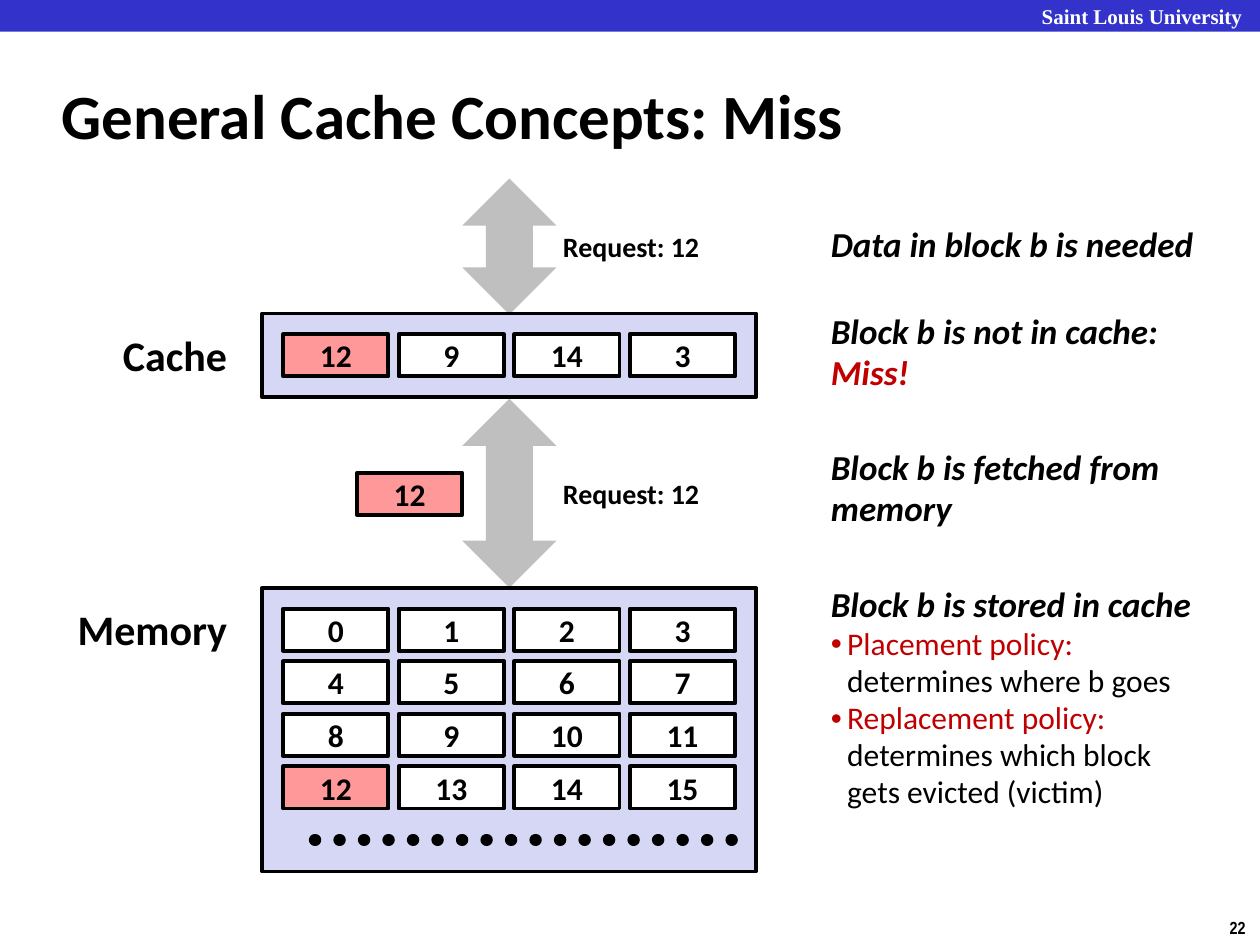
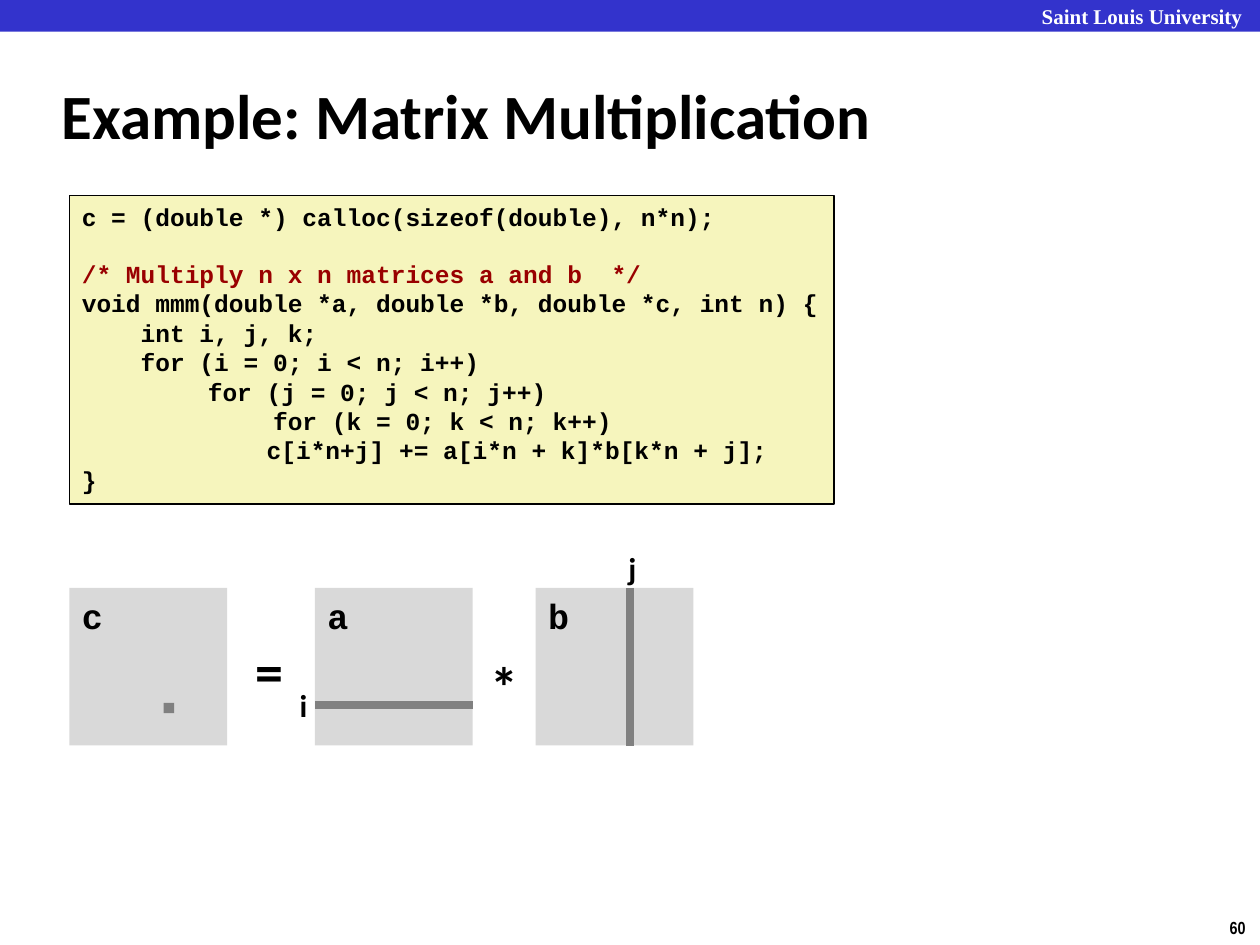
from lxml import etree
from pptx import Presentation
from pptx import util as u
from pptx.dml.color import RGBColor
from pptx.enum import dml, shapes, text
from pptx.oxml.ns import qn

BLACK, WHITE, RED = "000000", "FFFFFF", "C00000"
BAND, PANEL, HIGHLIGHT = "3333CC", "D6D6F5", "FF9999"
ARROW, MATRIX, MARK = "BFBFBF", "D9D9D9", "808080"
CODE_FILL, COMMENT = "F6F5BD", "990000"

RECT = shapes.MSO_SHAPE.RECTANGLE
LEFT, CENTER, RIGHT = text.PP_ALIGN.LEFT, text.PP_ALIGN.CENTER, text.PP_ALIGN.RIGHT
TOP, MIDDLE = text.MSO_ANCHOR.TOP, text.MSO_ANCHOR.MIDDLE

CELL_W, CELL_H = 2.12, 0.85
CELL_STEP_X, CELL_STEP_Y = 2.33, 1.06
PANEL_W, PANEL_PAD = 9.95, 0.42
MATRIX_SIDE = 3.18


def color(hex_value):
    return RGBColor.from_string(hex_value)


def cm(*lengths):
    return [u.Cm(length) for length in lengths]


# Building pieces
def write(box, words, size=18, font="Calibri", ink=BLACK, lead_ink=None, bold=True,
          italic=False, align=LEFT, anchor=TOP, wrap=True, spacing=None, before=0,
          bullet=False, tab=None):
    """Add one paragraph; lead_ink colours its first line only."""
    frame = box.text_frame
    frame.word_wrap, frame.vertical_anchor = wrap, anchor
    para = frame.paragraphs[0]
    if para.runs:
        para = frame.add_paragraph()
    para.alignment = align
    properties = para._p.get_or_add_pPr()
    if bullet:
        properties.set("marL", str(u.Cm(0.33)))
        properties.set("indent", str(-u.Cm(0.33)))
        etree.SubElement(properties, qn("a:buFont"), typeface="Arial")
        etree.SubElement(properties, qn("a:buChar"), char="•")
    if tab:
        stops = etree.SubElement(properties, qn("a:tabLst"))
        etree.SubElement(stops, qn("a:tab"), pos=str(u.Cm(tab)), algn="l")
    if spacing:
        para.line_spacing = spacing
    if before:
        para.space_before = u.Pt(before)
    for index, line in enumerate(words.split("\n")):
        if index:
            para.add_line_break()
        span = para.add_run()
        span.text = line
        span.font.name, span.font.size = font, u.Pt(size)
        span.font.bold, span.font.italic = bold, italic
        span.font.color.rgb = color(lead_ink if lead_ink and index == 0 else ink)


def add_box(page, left, top, width, height, fill, line_width=0, kind=RECT):
    box = page.shapes.add_shape(kind, *cm(left, top, width, height))
    box.shadow.inherit = False
    box.fill.solid()
    box.fill.fore_color.rgb = color(fill)
    if line_width:
        box.line.color.rgb = color(BLACK)
        box.line.width = u.Pt(line_width)
    else:
        box.line.fill.background()
    return box


def add_label(page, left, top, width, height, words, **style):
    label = page.shapes.add_textbox(*cm(left, top, width, height))
    write(label, words, **style)
    return label


def add_line(page, left, top, right, bottom, ink, width, dotted=False):
    line = page.shapes.add_connector(shapes.MSO_CONNECTOR.STRAIGHT,
                                     *cm(left, top, right, bottom))
    line.line.color.rgb = color(ink)
    line.line.width = u.Pt(width)
    if dotted:
        line.line.dash_style = dml.MSO_LINE.ROUND_DOT
        line.element.spPr.find(qn("a:ln")).set("cap", "rnd")
    etree.SubElement(line.element.spPr, qn("a:effectLst"))


# Shared frame: band, title, page number
def add_page(deck, title, number):
    page = deck.slides.add_slide(deck.slide_layouts[5])
    add_box(page, 0, 0, 25.4, 0.64, BAND)
    name = add_label(page, 20.75, 0.08, 4.65, 0.5, "Saint Louis University",
                     size=12, font="Times New Roman", ink=WHITE)
    name.text_frame.margin_top = name.text_frame.margin_bottom = 0
    add_label(page, 24.54, 18.36, 0.86, 0.69, number,
              size=10, font="Arial Narrow", wrap=False)
    heading = page.shapes.title
    heading.left, heading.top, heading.width, heading.height = cm(0.99, 1.24, 21.08, 2.11)
    write(heading, title, size=36, anchor=MIDDLE)
    return page


# Cache diagram
def add_block(page, left, top, value):
    fill = HIGHLIGHT if value == 12 else WHITE
    block = add_box(page, left, top, CELL_W, CELL_H, fill, 2.25)
    write(block, str(value), align=CENTER, anchor=MIDDLE)


def add_store(page, left, top, height, name, blocks):
    """Panel of blocks, four to a row, with its name on the left."""
    add_box(page, left, top, PANEL_W, height, PANEL, 2.25)
    add_label(page, left - 4.46, top + 0.2, 4, 1.27, name, size=24, align=RIGHT)
    for index, value in enumerate(blocks):
        row, column = divmod(index, 4)
        add_block(page, left + PANEL_PAD + column * CELL_STEP_X,
                  top + PANEL_PAD + row * CELL_STEP_Y, value)


def add_request(page, left, top, height):
    add_box(page, left, top, 1.9, height, ARROW, kind=shapes.MSO_SHAPE.UP_DOWN_ARROW)
    add_label(page, left + 1.78, top + height / 2 - 0.47, 3.6, 0.94,
              "Request: 12", size=16)


def add_step(page, left, top, height, *lines):
    """Explanation beside the diagram; each line is (words, changed style)."""
    step = page.shapes.add_textbox(*cm(left, top, 8.4, height))
    for words, change in lines:
        style = {"size": 20, "italic": True, "anchor": MIDDLE, "spacing": 0.98}
        write(step, words, **{**style, **change})


def build_cache_miss(deck):
    page = add_page(deck, "General Cache Concepts: Miss", "22")
    add_request(page, 9.32, 3.6, 2.74)
    add_request(page, 9.32, 8.04, 3.81)
    left, memory_top = 5.29, 11.85
    add_store(page, left, 6.32, 1.69, "Cache", [12, 9, 14, 3])
    add_store(page, left, memory_top, 5.72, "Memory", range(16))
    add_line(page, left + 1.06, memory_top + 5.08, left + 9.53, memory_top + 5.08,
             BLACK, 7, dotted=True)
    add_block(page, 7.2, 9.53, 12)

    policy = {"size": 18, "bold": False, "italic": False,
              "lead_ink": RED, "bullet": True}
    steps = [
        (4.39, 1.09, ("Data in block b is needed", {})),
        (6.15, 1.93, ("Block b is not in cache:", {}), ("Miss!", {"ink": RED})),
        (8.89, 1.93, ("Block b is fetched from", {}), ("memory", {})),
        (11.63, 4.88, ("Block b is stored in cache", {}),
         ("Placement policy:\ndetermines where b goes", policy),
         ("Replacement policy:\ndetermines which block\ngets evicted (victim)", policy)),
    ]
    for step in steps:
        add_step(page, 16.5, *step)


# Matrix multiplication
def add_code(page, left, top, width, height):
    box = add_box(page, left, top, width, height, CODE_FILL, 1)
    lines = [
        ("c = (double *) calloc(sizeof(double), n*n);", {}),
        ("/* Multiply n x n matrices a and b  */", {"ink": COMMENT, "before": 16}),
        ("void mmm(double *a, double *b, double *c, int n) {", {}),
        ("    int i, j, k;", {}),
        ("    for (i = 0; i < n; i++)", {}),
        ("\tfor (j = 0; j < n; j++)", {}),
        ("             for (k = 0; k < n; k++)", {}),
        ("\t    c[i*n+j] += a[i*n + k]*b[k*n + j];", {}),
        ("}", {}),
    ]
    for words, change in lines:
        write(box, words, size=14, font="Courier New", wrap=False, tab=2.54, **change)


def add_matrix(page, left, top, name):
    square = add_box(page, left, top, MATRIX_SIDE, MATRIX_SIDE, MATRIX)
    write(square, name, size=20, font="Courier New")


def add_product(page, left, top):
    """c = a * b, with row i, column j and their shared element marked."""
    a_left, b_left = left + 4.95, left + 9.4
    row, column = top + 2.36, b_left + 1.9
    for name, place in (("c", left), ("a", a_left), ("b", b_left)):
        add_matrix(page, place, top, name)
    add_line(page, a_left, row, a_left + MATRIX_SIDE, row, MARK, 4.5)
    add_line(page, column, top, column, top + MATRIX_SIDE, MARK, 4.5)
    add_box(page, left + 1.9, row - 0.04, 0.21, 0.21, MARK)
    add_label(page, a_left - 0.56, row - 0.51, 0.66, 1.02, "i", wrap=False)
    add_label(page, column - 0.28, top - 0.91, 0.69, 1.02, "j", wrap=False)
    add_label(page, left + 3.5, top + 0.85, 1.09, 1.63, "=", size=32, wrap=False)
    add_label(page, left + 8.23, top + 1.15, 1.09, 1.63, "*", size=32, wrap=False)


def build_matrix_example(deck):
    page = add_page(deck, "Example: Matrix Multiplication", "60")
    add_code(page, 1.4, 3.94, 15.42, 6.22)
    add_product(page, 1.4, 11.85)


def main():
    deck = Presentation()
    deck.slide_width, deck.slide_height = cm(25.4, 19.05)
    build_cache_miss(deck)
    build_matrix_example(deck)
    deck.save("out.pptx")


if __name__ == "__main__":
    main()
